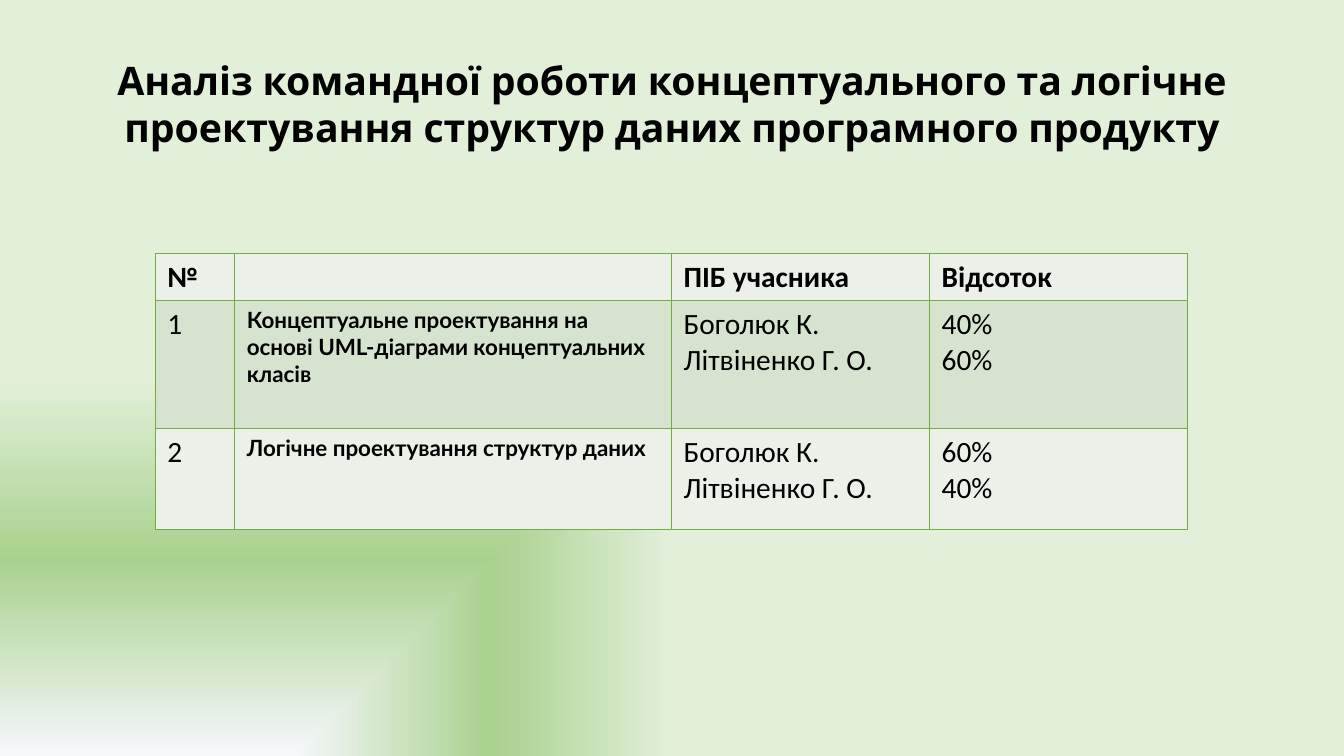
from dataclasses import dataclass

from pptx import Presentation
from pptx.dml.color import RGBColor
from pptx.enum.shapes import MSO_SHAPE
from pptx.enum.text import MSO_ANCHOR, MSO_AUTO_SIZE, PP_ALIGN
from pptx.oxml import parse_xml
from pptx.oxml.ns import nsdecls, qn
from pptx.util import Inches, Pt

SLIDE_WIDTH, SLIDE_HEIGHT = Inches(13.33), Inches(7.5)
COLOURS = {
    "text": "000000",
    "border": "70AD47",
    "light_row": "EBF1E9",
    "dark_row": "D5E3CF",
    "corner": "F6F8FC",
    "band": "A9D18E",
    "field": "E2F0D9",
}
TITLE = ("Аналіз командної роботи концептуального та логічне "
         "проектування структур даних програмного продукту")


@dataclass(frozen=True)
class Area:
    """A rectangle in percent of the slide's width and height."""
    left: float
    top: float
    width: float
    height: float

    def lengths(self) -> tuple:
        return (across(self.left), down(self.top),
                across(self.width), down(self.height))


@dataclass(frozen=True)
class TableRow:
    height: float
    fill: str
    texts: tuple
    header: bool = False


def across(percent: float) -> int:
    return round(SLIDE_WIDTH * percent / 100)


def down(percent: float) -> int:
    return round(SLIDE_HEIGHT * percent / 100)


BACKDROP_AREA = Area(0, 0, 100, 100)
TITLE_AREA = Area(4.25, 6.8, 91.5, 13.87)
TABLE_AREA = Area(11.55, 33.5, 76.8, 36.5)
COLUMN_WIDTHS = (5.92, 32.5, 19.2, 19.2)
TASK_COLUMN = 1
MEMBERS = "Боголюк К.\nЛітвіненко Г. О."
ROWS = (
    TableRow(6.25, "light_row", ("№", "", "ПІБ учасника", "Відсоток"), header=True),
    TableRow(16.9, "dark_row",
             ("1", "Концептуальне проектування на основі UML-діаграми концептуальних класів",
              MEMBERS, "40%\n60%")),
    TableRow(13.35, "light_row",
             ("2", "Логічне проектування структур даних", MEMBERS, "60%\n40%")),
)


def write_text(frame, text: str, *, font: str, size: float, bold: bool = False,
               align=PP_ALIGN.LEFT) -> None:
    """Write one paragraph per line of text."""
    frame.word_wrap = True
    for index, line in enumerate(text.split("\n")):
        para = frame.add_paragraph() if index else frame.paragraphs[0]
        para.alignment = align
        para.line_spacing = 1.0
        para.space_before = Pt(0)
        span = para.add_run()
        span.text = line
        span.font.name = font
        span.font.size = Pt(size)
        span.font.bold = bold
        span.font.color.rgb = RGBColor.from_string(COLOURS["text"])


def add_backdrop(page) -> None:
    """Cover the page with a gradient spreading from the bottom left corner."""
    box = page.shapes.add_shape(MSO_SHAPE.RECTANGLE, *BACKDROP_AREA.lengths())
    box.shadow.inherit = False
    box.line.fill.background()
    box.fill.background()
    stops = "".join(
        f'<a:gs pos="{share * 1000}"><a:srgbClr val="{COLOURS[name]}"/></a:gs>'
        for share, name in ((0, "corner"), (52, "band"), (100, "field")))
    properties = box.element.spPr
    properties.replace(properties.find(qn("a:noFill")), parse_xml(
        f'<a:gradFill {nsdecls("a")} rotWithShape="1"><a:gsLst>{stops}</a:gsLst>'
        '<a:path path="rect"><a:fillToRect t="100000" r="100000"/></a:path>'
        '</a:gradFill>'))
    page.shapes.title.element.addprevious(box.element)


def add_title(page) -> None:
    title = page.shapes.title
    title.left, title.top, title.width, title.height = TITLE_AREA.lengths()
    frame = title.text_frame
    frame.vertical_anchor = MSO_ANCHOR.TOP
    frame.auto_size = MSO_AUTO_SIZE.SHAPE_TO_FIT_TEXT
    write_text(frame, TITLE, font="Karla", size=28, bold=True, align=PP_ALIGN.CENTER)


def set_borders(cell) -> None:
    properties = cell._tc.get_or_add_tcPr()
    for index, side in enumerate(("lnL", "lnR", "lnT", "lnB")):
        properties.insert(index, parse_xml(
            f'<a:{side} {nsdecls("a")} w="{Pt(1)}"><a:solidFill>'
            f'<a:srgbClr val="{COLOURS["border"]}"/></a:solidFill></a:{side}>'))


def add_task_table(page) -> None:
    table = page.shapes.add_table(
        len(ROWS), len(COLUMN_WIDTHS), *TABLE_AREA.lengths()).table
    table.first_row = table.horz_banding = False
    for column, width in zip(table.columns, COLUMN_WIDTHS):
        column.width = across(width)
    for table_row, row in zip(table.rows, ROWS):
        table_row.height = down(row.height)
        for index, (cell, text) in enumerate(zip(table_row.cells, row.texts)):
            cell.margin_left = cell.margin_right = Inches(0.12)
            cell.margin_top = cell.margin_bottom = Inches(0.06)
            cell.fill.solid()
            cell.fill.fore_color.rgb = RGBColor.from_string(COLOURS[row.fill])
            set_borders(cell)
            is_task = index == TASK_COLUMN
            if text:
                write_text(cell.text_frame, text, font="Lato" if is_task else "Calibri",
                           size=16 if is_task else 21, bold=is_task or row.header)


def main() -> None:
    deck = Presentation()
    deck.slide_width, deck.slide_height = SLIDE_WIDTH, SLIDE_HEIGHT
    page = deck.slides.add_slide(deck.slide_layouts.get_by_name("Title Only"))
    add_backdrop(page)
    add_title(page)
    add_task_table(page)
    deck.save("out.pptx")


if __name__ == "__main__":
    main()
